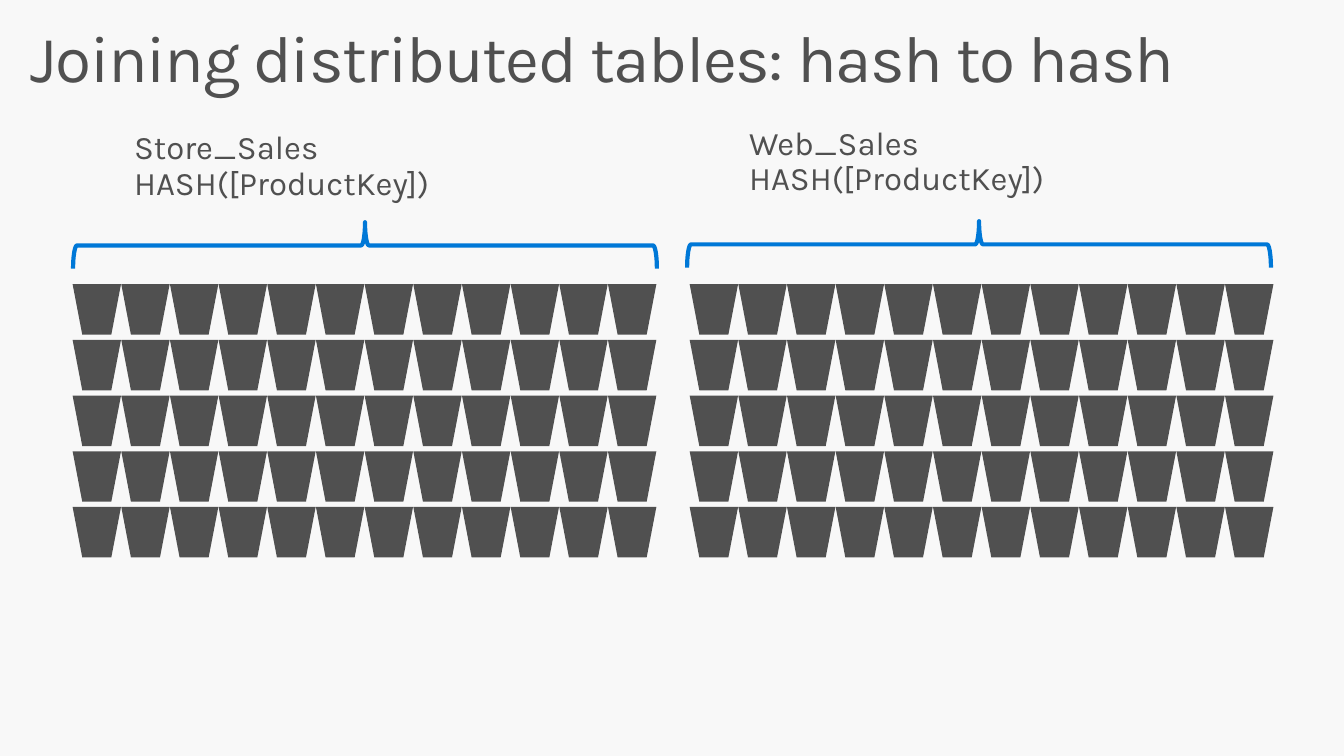
"""Builds the slide on joining two hash-distributed tables."""
from dataclasses import dataclass

from pptx import Presentation
from pptx import util as u
from pptx.dml.color import RGBColor
from pptx.enum import shapes, text

GREY = RGBColor(0x50, 0x50, 0x50)
BLUE = RGBColor(0x00, 0x78, 0xD7)
PAPER = RGBColor(0xF8, 0xF8, 0xF8)
FONT = "Karla"

COLUMNS, ROWS = 12, 5
GRID_TOP = 2.82
COLUMN_STEP, ROW_STEP = 5.31 / 11, 2.21 / 4
BUCKET_WIDTH, BUCKET_HEIGHT = 0.48, 0.5
BRACE_DEPTH, BRACE_SPAN = 0.46, 5.79


@dataclass
class DistributedTable:
    name: str
    grid_left: float
    brace_left: float
    brace_top: float
    label_left: float
    label_top: float
    label_width: float


TABLES = [
    DistributedTable("Store_Sales", 0.72, 3.39, -0.46, 1.13, 1.14, 5.02),
    DistributedTable("Web_Sales", 6.84, 9.48, -0.47, 7.23, 1.1, 4.94),
]


def write(frame, wording: str, size: float, insets: tuple) -> None:
    frame.text = wording
    frame.word_wrap = True
    frame.auto_size = text.MSO_AUTO_SIZE.NONE
    frame.vertical_anchor = text.MSO_ANCHOR.TOP
    (frame.margin_left, frame.margin_top,
     frame.margin_right, frame.margin_bottom) = map(u.Inches, insets)
    paragraph = frame.paragraphs[0]
    paragraph.alignment = text.PP_ALIGN.LEFT
    paragraph.line_spacing = 0.9
    for run in paragraph.runs:
        run.font.name = FONT
        run.font.size = u.Pt(size)
        run.font.color.rgb = GREY


def draw_title(slide) -> None:
    title = slide.shapes.title
    title.left, title.top = u.Inches(0), u.Inches(0)
    title.width, title.height = u.Inches(13.33), u.Inches(1.09)
    write(title.text_frame, "Joining distributed tables: hash to hash", 47,
          (0.3, 0.25, 0.16, 0.1))
    wording = title.text_frame.paragraphs[0].runs[0]
    wording.font._element.set("spc", "-100")


def draw_buckets(slide, table: DistributedTable) -> None:
    buckets = slide.shapes.add_group_shape()
    for row in range(ROWS):
        for column in range(COLUMNS):
            bucket = buckets.shapes.add_shape(
                shapes.MSO_SHAPE.FLOWCHART_MANUAL_OPERATION,
                u.Inches(table.grid_left + column * COLUMN_STEP),
                u.Inches(GRID_TOP + row * ROW_STEP),
                u.Inches(BUCKET_WIDTH), u.Inches(BUCKET_HEIGHT))
            bucket.shadow.inherit = False
            bucket.fill.solid()
            bucket.fill.fore_color.rgb = GREY
            bucket.line.fill.background()


def draw_brace(slide, table: DistributedTable) -> None:
    brace = slide.shapes.add_shape(
        shapes.MSO_SHAPE.LEFT_BRACE,
        u.Inches(table.brace_left), u.Inches(table.brace_top),
        u.Inches(BRACE_DEPTH), u.Inches(BRACE_SPAN))
    brace.rotation = 90
    brace.shadow.inherit = False
    brace.fill.background()
    brace.line.color.rgb = BLUE
    brace.line.width = u.Pt(3)


def draw_label(slide, table: DistributedTable) -> None:
    label = slide.shapes.add_textbox(
        u.Inches(table.label_left), u.Inches(table.label_top),
        u.Inches(table.label_width), u.Inches(1.11))
    write(label.text_frame, f"{table.name}\vHASH([ProductKey])", 23.5,
          (0.2, 0.16, 0.2, 0.16))
    label.text_frame.paragraphs[0].space_after = u.Pt(5.9)


def main() -> None:
    deck = Presentation()
    deck.slide_width, deck.slide_height = u.Inches(13.33), u.Inches(7.5)
    slide = deck.slides.add_slide(deck.slide_layouts.get_by_name("Title Only"))
    slide.background.fill.solid()
    slide.background.fill.fore_color.rgb = PAPER
    draw_title(slide)
    for draw in (draw_buckets, draw_brace, draw_label):
        for table in TABLES:
            draw(slide, table)
    deck.save("out.pptx")


if __name__ == "__main__":
    main()
